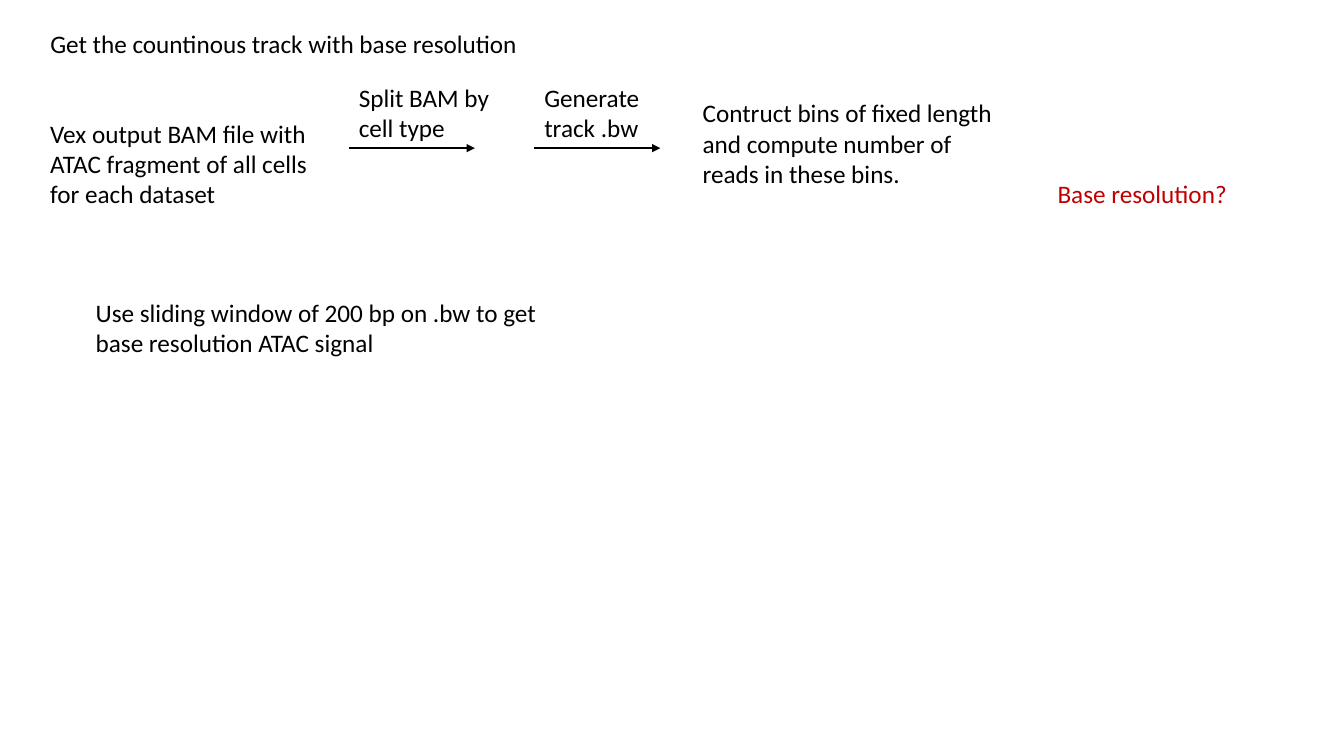
"""Build the slide on making a continuous ATAC track with base resolution."""
import pptx
import pptx.dml.color
import pptx.enum.shapes
import pptx.enum.text
import pptx.oxml.ns
import pptx.util
from lxml import etree

EMU_PER_PX = 9144
BLACK = "000000"
RED = "C00000"
STEP_TOP = 77
STEP_HEIGHT = 70
ARROW_LENGTH = 125


def px(length):
    """Turn px into EMU."""
    return pptx.util.Emu(length * EMU_PER_PX)


def color(hex_code):
    """Turn a hex string into a colour."""
    return pptx.dml.color.RGBColor.from_string(hex_code)


def add_note(slide, text, left, top, width, height, hex_code=BLACK):
    """Add a wrapped text box that grows with its text."""
    note = slide.shapes.add_textbox(px(left), px(top), px(width), px(height))
    frame = note.text_frame
    frame.word_wrap = True
    frame.auto_size = pptx.enum.text.MSO_AUTO_SIZE.SHAPE_TO_FIT_TEXT
    frame.text = text
    for run in frame.paragraphs[0].runs:
        run.font.name = "Calibri"
        run.font.size = pptx.util.Pt(18)
        run.font.color.rgb = color(hex_code)


def add_arrow(slide, left, top, length):
    """Add a horizontal arrow pointing right."""
    arrow = slide.shapes.add_connector(
        pptx.enum.shapes.MSO_CONNECTOR.STRAIGHT,
        px(left), px(top), px(left + length), px(top))
    arrow.line.color.rgb = color(BLACK)
    arrow.line.width = pptx.util.Pt(1.5)
    qn = pptx.oxml.ns.qn
    outline = arrow._element.spPr.find(qn("a:ln"))
    etree.SubElement(outline, qn("a:tailEnd"), type="triangle")
    etree.SubElement(arrow._element.spPr, qn("a:effectLst"))


def add_step(slide, label, left):
    """Add a labelled processing step above its arrow."""
    add_arrow(slide, left, STEP_TOP + STEP_HEIGHT, ARROW_LENGTH)
    add_note(slide, label, left, STEP_TOP, 152, STEP_HEIGHT)


def main():
    """Build and save the slide."""
    deck = pptx.Presentation()
    deck.slide_width = px(1333)
    deck.slide_height = px(750)
    slide = deck.slides.add_slide(deck.slide_layouts[6])

    add_note(slide, "Get the countinous track with base resolution", 40, 23, 499, 40)
    add_note(slide, "Vex output BAM file with ATAC fragment of all cells for each dataset",
             40, 112, 280, 101)
    add_step(slide, "Split BAM by cell type", 346)
    add_step(slide, "Generate track .bw", 530)
    add_note(slide, "Contruct bins of fixed length and compute number of reads in these bins.",
             687, 92, 325, 101)
    add_note(slide, "Use sliding window of 200 bp on .bw to get base resolution ATAC signal",
             85, 290, 469, 71)
    add_note(slide, "Base resolution?", 1039, 172, 325, 40, RED)

    deck.save("out.pptx")


if __name__ == "__main__":
    main()
